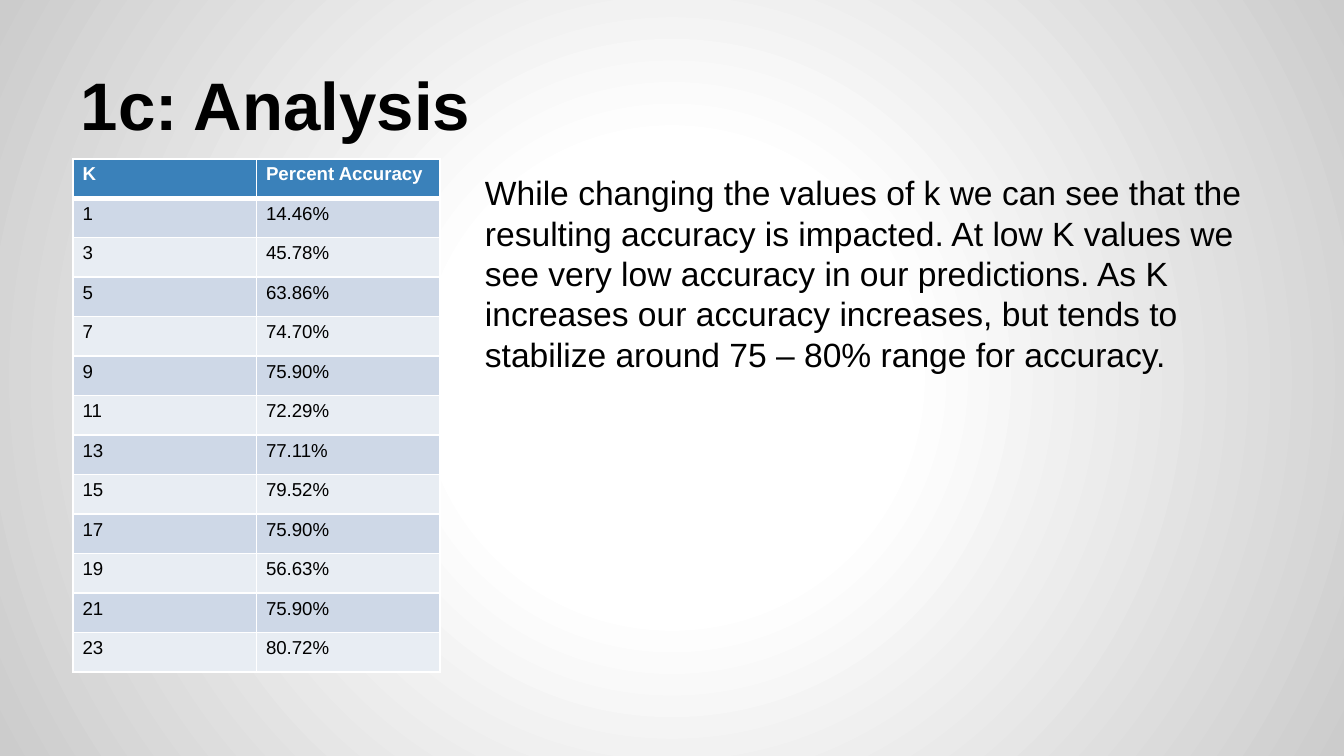
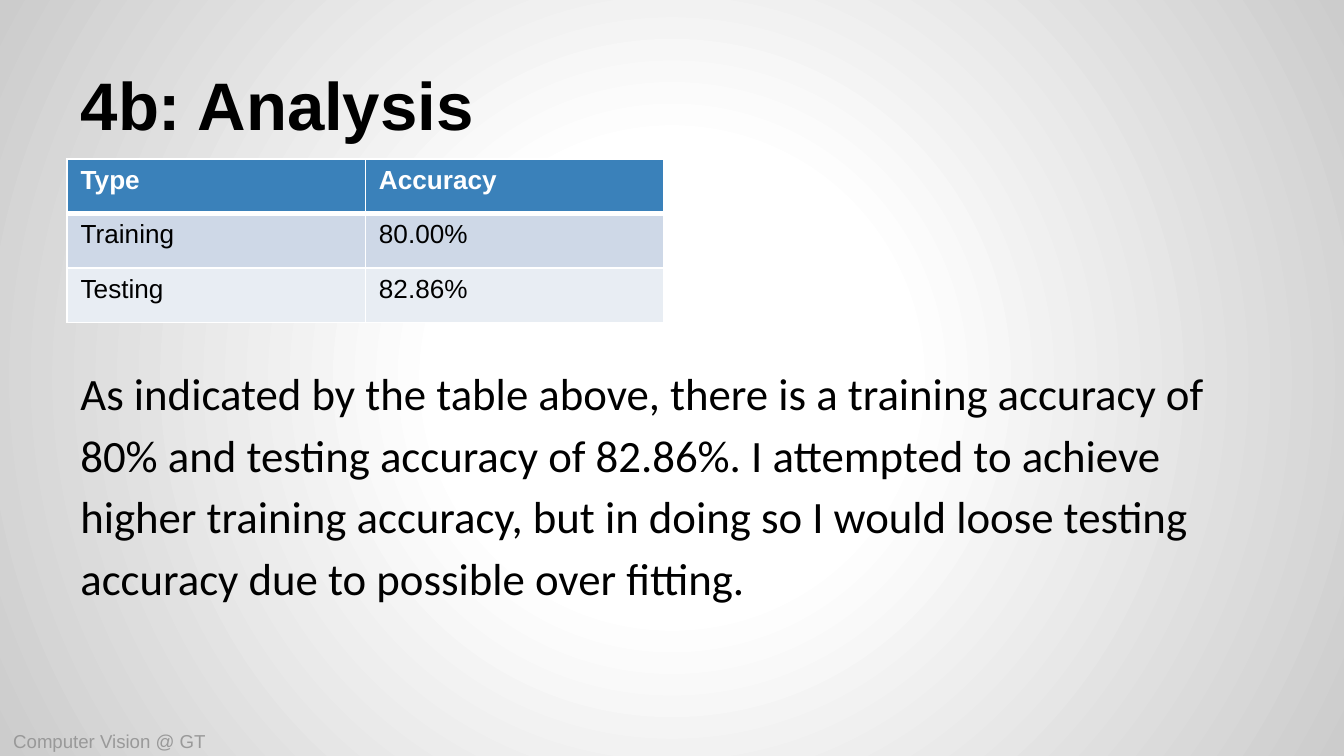
from pptx import Presentation
from pptx.dml.color import RGBColor as RGB
from pptx.enum.text import MSO_ANCHOR as ANCHOR, MSO_AUTO_SIZE as FIT, PP_ALIGN as ALIGN
from pptx.oxml import parse_xml
from pptx.oxml.ns import nsdecls, qn
from pptx.util import Inches, Pt

W = Inches(10)
H = W * 9 // 16
BLACK, WHITE, GREY, EDGE = "000000", "FFFFFF", "999999", "CCCCCC"
HEAD, BANDS = "3A81BA", ("CED8E7", "E8EDF3")
TABLE_TOP = 21

ACCURACY_BY_K = [
    ("K", "Percent Accuracy"),
    ("1", "14.46%"),
    ("3", "45.78%"),
    ("5", "63.86%"),
    ("7", "74.70%"),
    ("9", "75.90%"),
    ("11", "72.29%"),
    ("13", "77.11%"),
    ("15", "79.52%"),
    ("17", "75.90%"),
    ("19", "56.63%"),
    ("21", "75.90%"),
    ("23", "80.72%"),
]
ACCURACY_BY_TYPE = [
    ("Type", "Accuracy"),
    ("Training", "80.00%"),
    ("Testing", "82.86%"),
]
K_ANALYSIS = (
    "While changing the values of k we can see that the resulting accuracy is impacted. "
    "At low K values we see very low accuracy in our predictions. As K increases our "
    "accuracy increases, but tends to stabilize around 75 – 80% range for accuracy."
)
TYPE_ANALYSIS = (
    "As indicated by the table above, there is a training accuracy of 80% and testing "
    "accuracy of 82.86%. I attempted to achieve higher training accuracy, but in doing so "
    "I would loose testing accuracy due to possible over fitting."
)


def rgb(color):
    return RGB.from_string(color)


def box(x, y, w, h):
    return [round(share * side / 100) for share, side in zip((x, y, w, h), (W, H, W, H))]


def assign(obj, **values):
    for name, value in values.items():
        setattr(obj, name, value)


def write(p, text, size, color=BLACK, font="Arial", bold=False):
    r = p.add_run()
    r.text = text
    assign(r.font, size=Pt(size), name=font, bold=bold)
    r.font.color.rgb = rgb(color)


def set_background(master):
    fill = master.background.fill
    fill.solid()
    solid = next(master.element.iter(qn("a:solidFill")))
    stops = "".join(
        f'<a:gs pos="{pos * 1000}"><a:srgbClr val="{color}"/></a:gs>'
        for pos, color in ((0, WHITE), (30, WHITE), (100, EDGE))
    )
    gradient = parse_xml(
        f'<a:gradFill {nsdecls("a")}><a:gsLst>{stops}</a:gsLst><a:path path="circle">'
        '<a:fillToRect l="50000" t="50000" r="50000" b="50000"/></a:path></a:gradFill>'
    )
    solid.getparent().replace(solid, gradient)


def set_frame(tf, anchor):
    inset = Inches(0.1)
    assign(tf, word_wrap=True, auto_size=FIT.NONE, vertical_anchor=anchor,
           margin_left=inset, margin_right=inset, margin_top=inset, margin_bottom=inset)


def add_titled_slide(prs, title, width=90):
    s = prs.slides.add_slide(prs.slide_layouts[5])
    sp = s.shapes.title
    x, y, w, h = box(5, 4.09, width, 16.71)
    assign(sp, left=x, top=y, width=w, height=h)
    set_frame(sp.text_frame, ANCHOR.BOTTOM)
    p = sp.text_frame.paragraphs[0]
    p.alignment = ALIGN.LEFT
    write(p, title, 36, bold=True)
    return s


def add_text(s, place, text, size, anchor=ANCHOR.TOP, **style):
    tf = s.shapes.add_textbox(*box(*place)).text_frame
    set_frame(tf, anchor)
    p = tf.paragraphs[0]
    write(p, text, size, **style)
    return p


def set_borders(cell, **widths):
    tc_pr = cell._tc.get_or_add_tcPr()
    for i, side in enumerate("LRTB"):
        tc_pr.insert(i, parse_xml(
            f'<a:ln{side} {nsdecls("a")} w="{Pt(widths.get(side, 1))}"><a:solidFill>'
            f'<a:srgbClr val="{WHITE}"/></a:solidFill></a:ln{side}>'
        ))


def add_table(s, place, rows, size, margins):
    x, y, w, h = box(*place)
    table = s.shapes.add_table(len(rows), len(rows[0]), x, y, w, h).table
    side, edge = map(Inches, margins)
    for i, row in enumerate(rows):
        head = i == 0
        for j, text in enumerate(row):
            cell = table.cell(i, j)
            assign(cell, margin_left=side, margin_right=side,
                   margin_top=edge, margin_bottom=edge)
            cell.fill.solid()
            cell.fill.fore_color.rgb = rgb(HEAD if head else BANDS[(i - 1) % 2])
            set_borders(cell, T=3 if i == 1 else 1, B=3 if head else 1)
            write(cell.text_frame.paragraphs[0], text, size,
                  color=WHITE if head else BLACK, bold=head)


def add_k_slide(prs):
    s = add_titled_slide(prs, "1c: Analysis")
    p = add_text(s, (34.7, TABLE_TOP, 60.3, 74.84), K_ANALYSIS, 18)
    p.space_before = Pt(6)
    p._p.get_or_add_pPr().set("marL", str(Inches(0.04)))
    add_table(s, (5.45, TABLE_TOP, 27.3, 67.91), ACCURACY_BY_K, 10, (0.07, 0.04))


def add_type_slide(prs):
    s = add_titled_slide(prs, "4b: Analysis", 93.9)
    add_text(s, (0, 96.1, 28.1, 3.9), "Computer Vision @ GT", 10, ANCHOR.MIDDLE, color=GREY)
    p = add_text(s, (5, 45.51, 90, 50.31), TYPE_ANALYSIS, 24, font="Calibri")
    p.line_spacing = 1.15
    add_table(s, (5, TABLE_TOP, 44.4, 21.69), ACCURACY_BY_TYPE, 14, (0.1, 0.05))


def main():
    prs = Presentation()
    assign(prs, slide_width=W, slide_height=H)
    set_background(prs.slide_master)
    add_k_slide(prs)
    add_type_slide(prs)
    prs.save("out.pptx")


if __name__ == "__main__":
    main()
